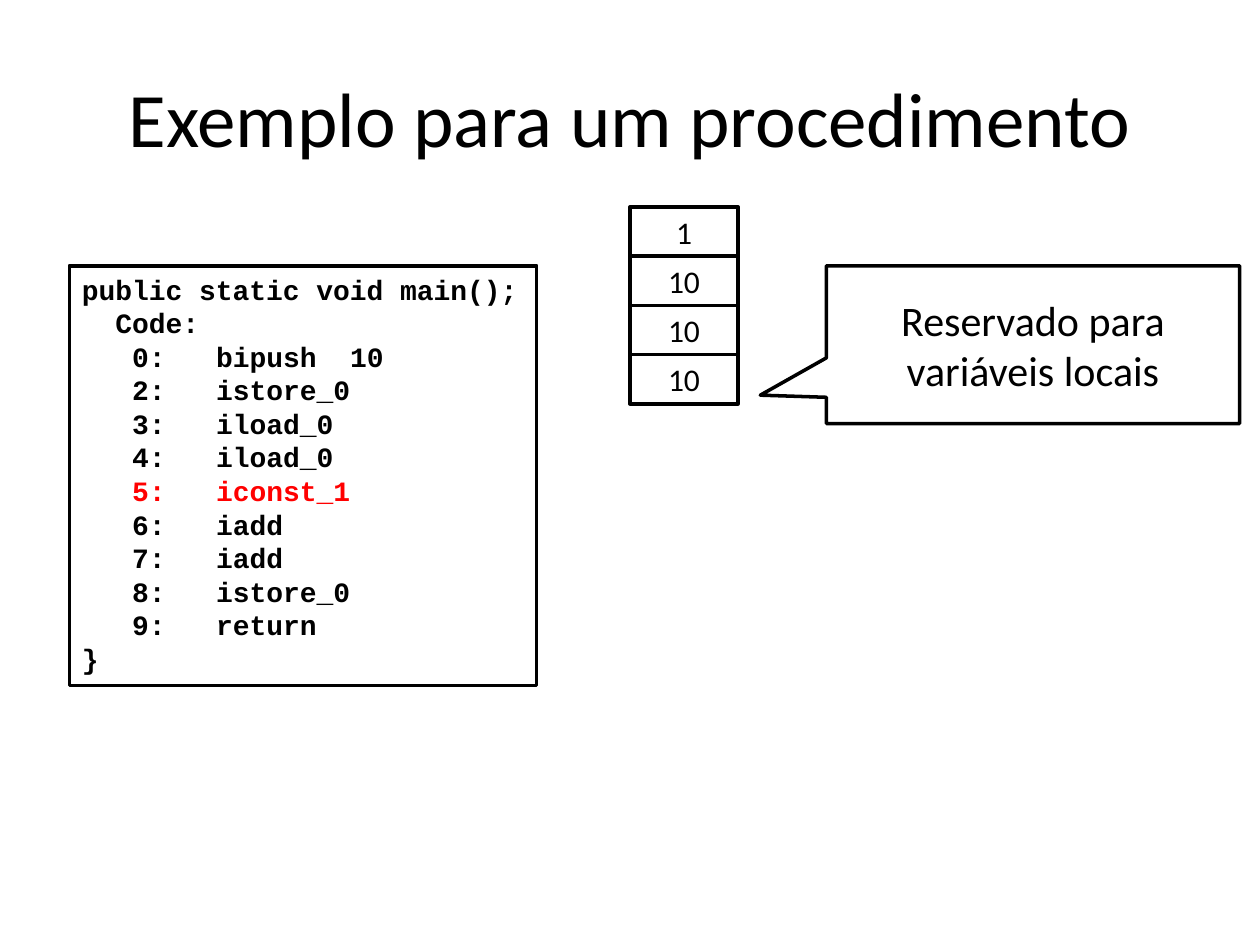
from dataclasses import dataclass

from pptx import Presentation
from pptx.dml.color import RGBColor
from pptx.enum.shapes import MSO_SHAPE
from pptx.enum.text import MSO_ANCHOR, MSO_AUTO_SIZE, PP_ALIGN
from pptx.util import Cm, Pt


@dataclass(frozen=True)
class Theme:
    ink: RGBColor = RGBColor(0, 0, 0)
    paper: RGBColor = RGBColor(255, 255, 255)
    current: RGBColor = RGBColor(255, 0, 0)
    body_font: str = "Calibri"
    code_font: str = "Courier New"
    title_size: int = 44
    callout_size: int = 24
    cell_size: int = 18
    code_size: int = 16
    outline: int = 2


THEME = Theme()
CODE_CHAR = Pt(THEME.code_size * 0.6)  # width of one monospaced character

INSTRUCTIONS = [
    (0, "bipush  10"), (2, "istore_0"), (3, "iload_0"), (4, "iload_0"),
    (5, "iconst_1"), (6, "iadd"), (7, "iadd"), (8, "istore_0"), (9, "return"),
]
CURRENT_ADDRESS = 5
STACK = ["1", "10", "10", "10"]  # top to bottom


def add_span(para, text, size, font=THEME.body_font, color=THEME.ink, bold=False):
    span = para.add_run()
    span.text = text
    span.font.name = font
    span.font.size = Pt(size)
    span.font.bold = bold
    span.font.color.rgb = color


def add_box(page, kind, left, top, width, height):
    box = page.shapes.add_shape(kind, left, top, width, height)
    box.shadow.inherit = False
    box.fill.solid()
    box.fill.fore_color.rgb = THEME.paper
    box.line.color.rgb = THEME.ink
    box.line.width = Pt(THEME.outline)
    box.text_frame.word_wrap = True
    return box


def add_centred_text(box, text, size):
    box.text_frame.vertical_anchor = MSO_ANCHOR.MIDDLE
    para = box.text_frame.paragraphs[0]
    para.alignment = PP_ALIGN.CENTER
    add_span(para, text, size)


def place_title(page, left, top, width, height):
    title = page.shapes.title
    title.left, title.top, title.width, title.height = left, top, width, height
    add_centred_text(title, "Exemplo para um procedimento", THEME.title_size)


def add_code(page, left, top, width, height):
    frame = add_box(page, MSO_SHAPE.RECTANGLE, left, top, width, height).text_frame
    frame.vertical_anchor = MSO_ANCHOR.TOP
    frame.auto_size = MSO_AUTO_SIZE.SHAPE_TO_FIT_TEXT

    # Each line: text, left margin and first-line indent in characters, colour
    lines = [("public static void main();", 0, 0, THEME.ink),
             ("Code:", 2, 0, THEME.ink)]
    for address, instruction in INSTRUCTIONS:
        color = THEME.current if address == CURRENT_ADDRESS else THEME.ink
        lines.append((f"{address}:\t{instruction}", 8, -5, color))
    lines.append(("}", 0, 0, THEME.ink))

    for index, (text, margin, indent, color) in enumerate(lines):
        para = frame.add_paragraph() if index else frame.paragraphs[0]
        para.alignment = PP_ALIGN.LEFT
        properties = para._p.get_or_add_pPr()
        properties.set("marL", str(margin * CODE_CHAR))
        properties.set("indent", str(indent * CODE_CHAR))
        add_span(para, text, THEME.code_size, THEME.code_font, color, bold=True)


def add_stack(page, left, top, width, height):
    cell_height = height // len(STACK)
    for row, value in enumerate(STACK):
        cell = add_box(page, MSO_SHAPE.RECTANGLE, left, top + row * cell_height,
                       width, cell_height)
        add_centred_text(cell, value, THEME.cell_size)


def add_callout(page, left, top, width, height):
    callout = add_box(page, MSO_SHAPE.RECTANGULAR_CALLOUT, left, top, width, height)
    # Tip points at the bottom cell of the stack
    callout.adjustments[0] = -0.66
    callout.adjustments[1] = 0.32
    add_centred_text(callout, "Reservado para variáveis locais", THEME.callout_size)


def main():
    deck = Presentation()
    deck.slide_width, deck.slide_height = Cm(25.4), Cm(19.05)
    page = deck.slides.add_slide(deck.slide_layouts[5])  # title only

    place_title(page, Cm(1.27), Cm(0.76), Cm(22.86), Cm(3.18))
    add_code(page, Cm(1.4), Cm(5.36), Cm(9.42), Cm(8.46))
    add_stack(page, Cm(12.7), Cm(4.17), Cm(2.18), Cm(3.97))
    add_callout(page, Cm(16.66), Cm(5.36), Cm(8.33), Cm(3.18))

    deck.save("out.pptx")


if __name__ == "__main__":
    main()
